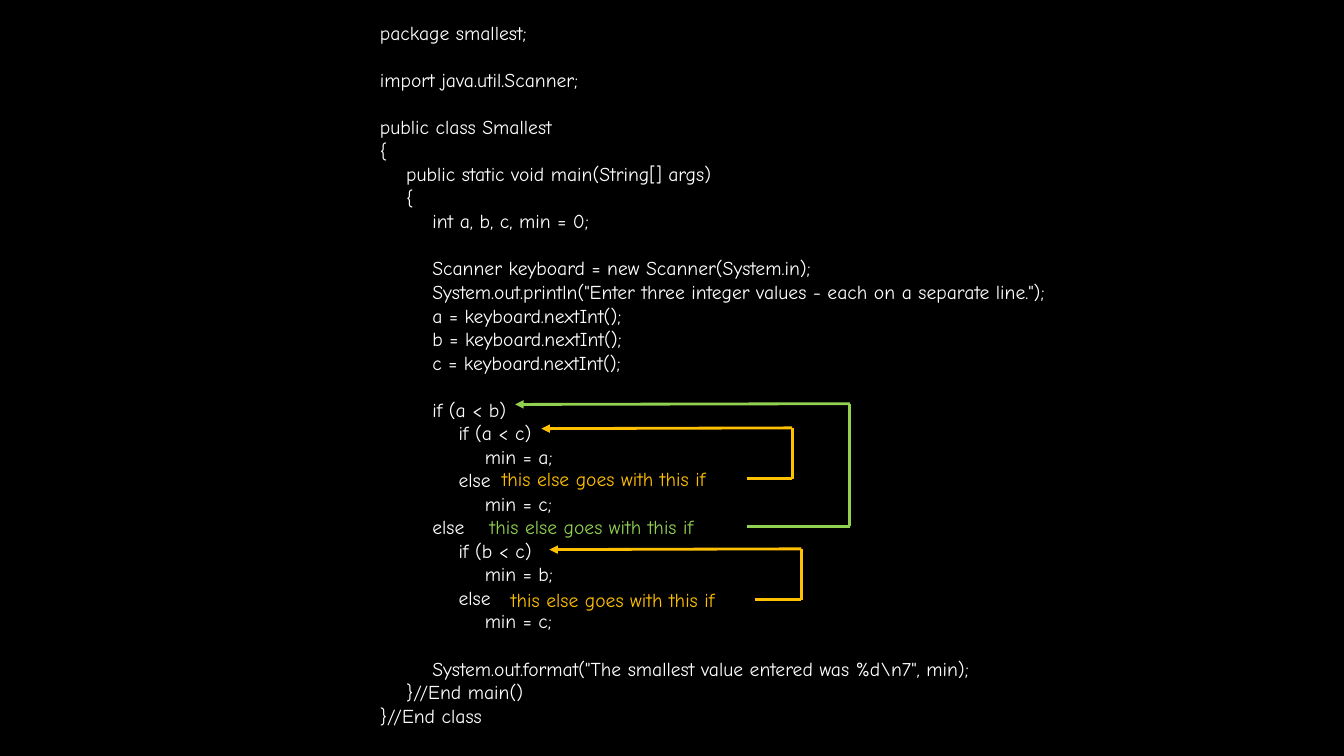
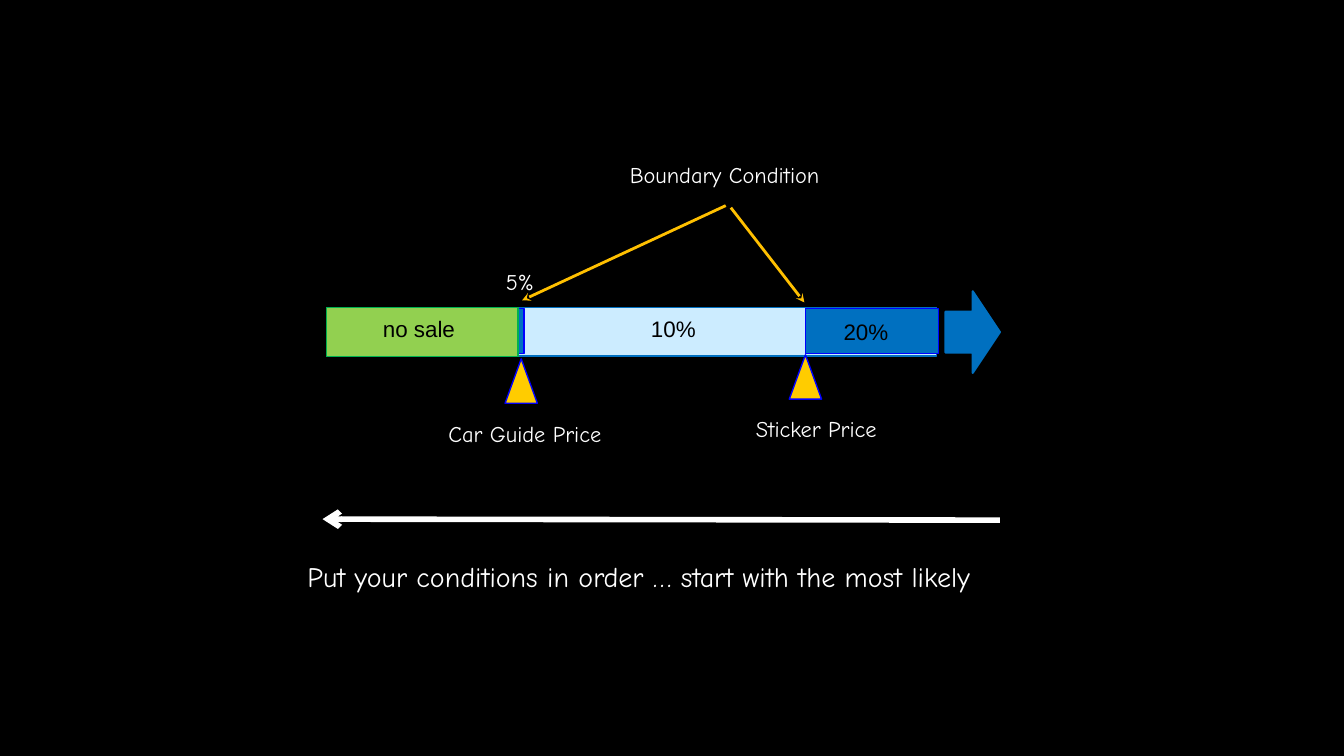
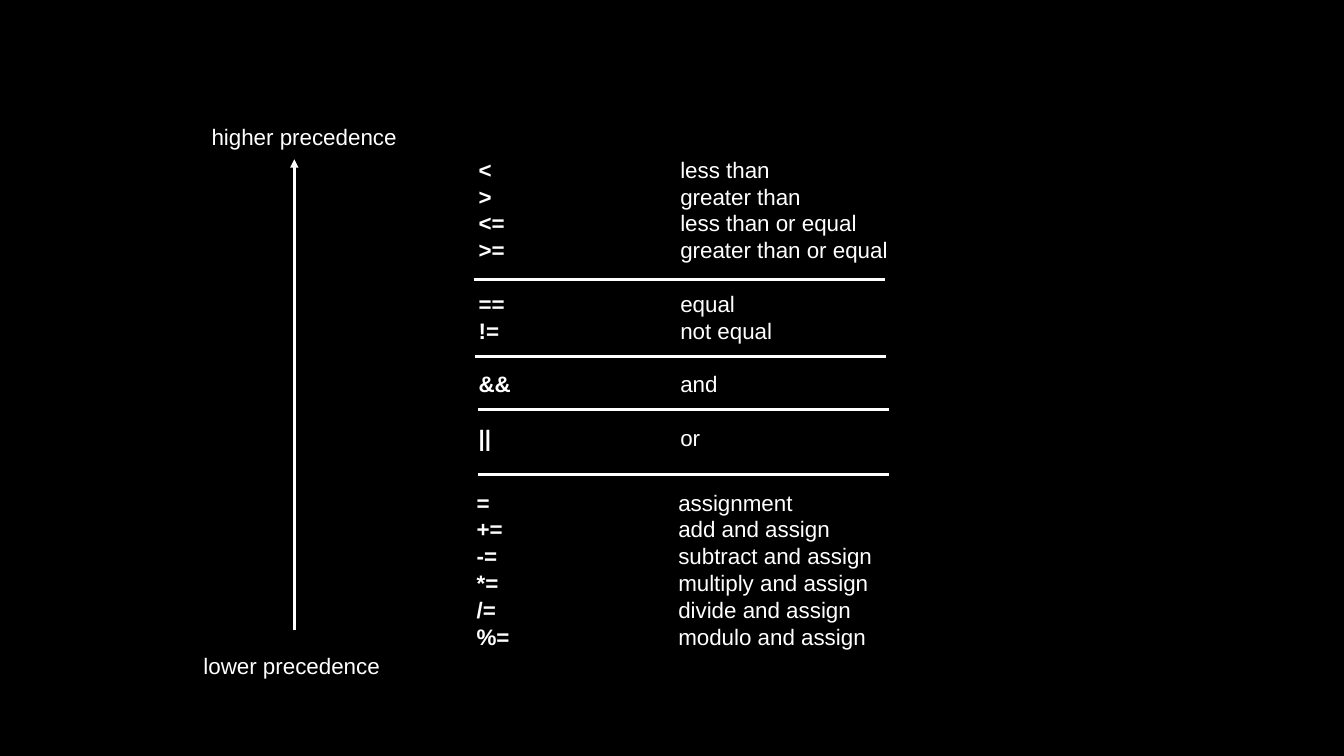
from lxml.etree import SubElement
from pptx import Presentation
from pptx.dml.color import RGBColor as RGB
from pptx.enum.shapes import MSO_CONNECTOR as CONN, MSO_SHAPE as SHAPE
from pptx.oxml.ns import qn
from pptx.util import Inches, Pt

C = {"black": "000000", "white": "FFFFFF", "amber": "FFC000", "lime": "92D050",
     "green": "00B050", "blue": "0070C0", "royal": "0000FF", "pale": "CCECFF",
     "gold": "FFCC00"}
COMIC, ARIAL = "Comic Neue", "Arial"

prs = Presentation()
prs.slide_width, prs.slide_height = Inches(13.333), Inches(7.5)
col, row = prs.slide_width / 100, prs.slide_height / 100
fill = prs.slide_master.background.fill
fill.solid()
fill.fore_color.rgb = RGB.from_string(C["black"])
code_slide, price_slide, order_slide = [
    prs.slides.add_slide(prs.slide_layouts[6]) for _ in range(3)]


def text(s, x, y, w, h, content, size=16, font=COMIC, color="white", pitch=None):
    tf = s.shapes.add_textbox(int(x * col), int(y * row), int(w * col), int(h * row)).text_frame
    tf.word_wrap = True
    p, gap = None, 0
    for line in content.strip().splitlines():
        if not line:
            gap += pitch
            continue
        p = tf.add_paragraph() if p else tf.paragraphs[0]
        body = line.lstrip(" ")
        symbol, tab, meaning = body.partition("\t")
        for part, bold in ((symbol, bool(tab)), (tab + meaning, False)):
            if part:
                r = p.add_run()
                r.text = part
                r.font.size, r.font.name, r.font.bold = Pt(size), font, bold
                r.font.color.rgb = RGB.from_string(C[color])
        if pitch:
            p.line_spacing, p.space_before = Pt(pitch), Pt(gap)
        pPr = p._p.get_or_add_pPr()
        pPr.set("marL", str(Inches(0.065 * (len(line) - len(body)))))
        if tab:
            SubElement(SubElement(pPr, qn("a:tabLst")), qn("a:tab"), pos=str(Inches(2)), algn="l")
        gap = 0


def connect(s, x1, y1, x2, y2, color="white", width=2, head=None):
    c = s.shapes.add_connector(CONN.STRAIGHT, int(x1 * col), int(y1 * row),
                               int(x2 * col), int(y2 * row))
    c.line.color.rgb = RGB.from_string(C[color])
    c.line.width = Pt(width)
    if head:
        SubElement(c.line._get_or_add_ln(), qn("a:tailEnd"), type=head)
    SubElement(c._element.spPr, qn("a:effectLst"))


s = code_slide
text(s, 27.53, 2.13, 56.1, 95.6, r"""
package smallest;

import java.util.Scanner;

public class Smallest
{
    public static void main(String[] args)
    {
        int a, b, c, min = 0;

        Scanner keyboard = new Scanner(System.in);
        System.out.println("Enter three integer values - each on a separate line.");
        a = keyboard.nextInt();
        b = keyboard.nextInt();
        c = keyboard.nextInt();

        if (a < b)
            if (a < c)
                min = a;
            else
                min = c;
        else
            if (b < c)
                min = b;
            else
                min = c;

        System.out.format("The smallest value entered was %d\n7", min);
    }//End main()
}//End class
""", 14, pitch=16.8)

for color, note_x, start_x, right_x, tip_x, else_y, if_y in (
        ("amber", 36.6, 55.58, 58.95, 40.28, 63.33, 56.6),
        ("amber", 37.28, 56.18, 59.63, 40.88, 79.33, 72.6),
        ("lime", 35.7, 55.58, 63.23, 38.33, 69.6, 53.4)):
    text(s, note_x, else_y - 2.2, 20, 4.53, "this else goes with this if", 14, color=color)
    connect(s, start_x, else_y, right_x, else_y, color)
    connect(s, right_x, else_y, right_x, if_y, color)
    connect(s, right_x, if_y, tip_x, if_y + 0.1, color, head="triangle")

s = price_slide
for kind, x, y, w, h, inside, edge, width in (
        (SHAPE.RECTANGLE, 24.38, 40.67, 45.3, 6.4, "pale", "blue", 1),
        (SHAPE.ISOSCELES_TRIANGLE, 58.73, 46.93, 2.4, 5.87, "gold", "royal", 1),
        (SHAPE.ISOSCELES_TRIANGLE, 37.58, 47.47, 2.4, 5.87, "gold", "royal", 1),
        (SHAPE.RECTANGLE, 38.55, 40.8, 0.45, 6, "blue", "royal", 1),
        (SHAPE.RECTANGLE, 59.93, 40.8, 9.9, 6, "blue", "royal", 1),
        (SHAPE.RIGHT_ARROW, 70.35, 38.53, 4.05, 10.8, "blue", "blue", 1.5),
        (SHAPE.RECTANGLE, 24.3, 40.67, 14.25, 6.53, "lime", "green", 1)):
    sp = s.shapes.add_shape(kind, int(x * col), int(y * row), int(w * col), int(h * row))
    sp.shadow.inherit = False
    sp.fill.solid()
    sp.fill.fore_color.rgb = RGB.from_string(C[inside])
    sp.line.color.rgb = RGB.from_string(C[edge])
    sp.line.width = Pt(width)

for x, y, w, label in ((55.5, 54.27, 13, "Sticker Price"), (32.63, 54.93, 15, "Car Guide Price"),
                       (36.9, 34.8, 5, "5%"), (46.13, 20.67, 18, "Boundary Condition")):
    text(s, x, y, w, 4.93, label)
for x, y, w, label in ((62.03, 41.47, 6, "20%"), (47.7, 41.07, 6, "10%"),
                       (27.75, 41.07, 8, "no sale")):
    text(s, x, y, w, 4.93, label, font=ARIAL, color="black")

connect(s, 54.38, 27.47, 59.85, 40, "amber", head="stealth")
connect(s, 54, 27.2, 38.85, 39.73, "amber", head="stealth")
connect(s, 74.4, 68.8, 24, 68.67, width=4, head="arrow")
text(s, 22.13, 73.33, 58, 5.87, "Put your conditions in order … start with the most likely", 20)

s = order_slide
text(s, 34.88, 20, 36, 40.8, """
<\tless than
>\tgreater than
<=\tless than or equal
>=\tgreater than or equal

==\tequal
!=\tnot equal

&&\tand

||\tor
""", font=ARIAL, pitch=19.15)
text(s, 34.73, 64, 36, 26.53, """
=\tassignment
+=\tadd and assign
-=\tsubtract and assign
*=\tmultiply and assign
/=\tdivide and assign
%=\tmodulo and assign
""", font=ARIAL, pitch=19.15)
for x, y in ((35.25, 36.93), (35.33, 47.2), (35.55, 54.13), (35.55, 62.8)):
    connect(s, x, y, x + 30.6, y)
connect(s, 21.9, 83.33, 21.9, 21.07, head="triangle")
text(s, 15, 15.6, 16, 4.93, "higher precedence", font=ARIAL)
text(s, 14.4, 85.6, 16, 4.93, "lower precedence", font=ARIAL)

prs.save("out.pptx")
